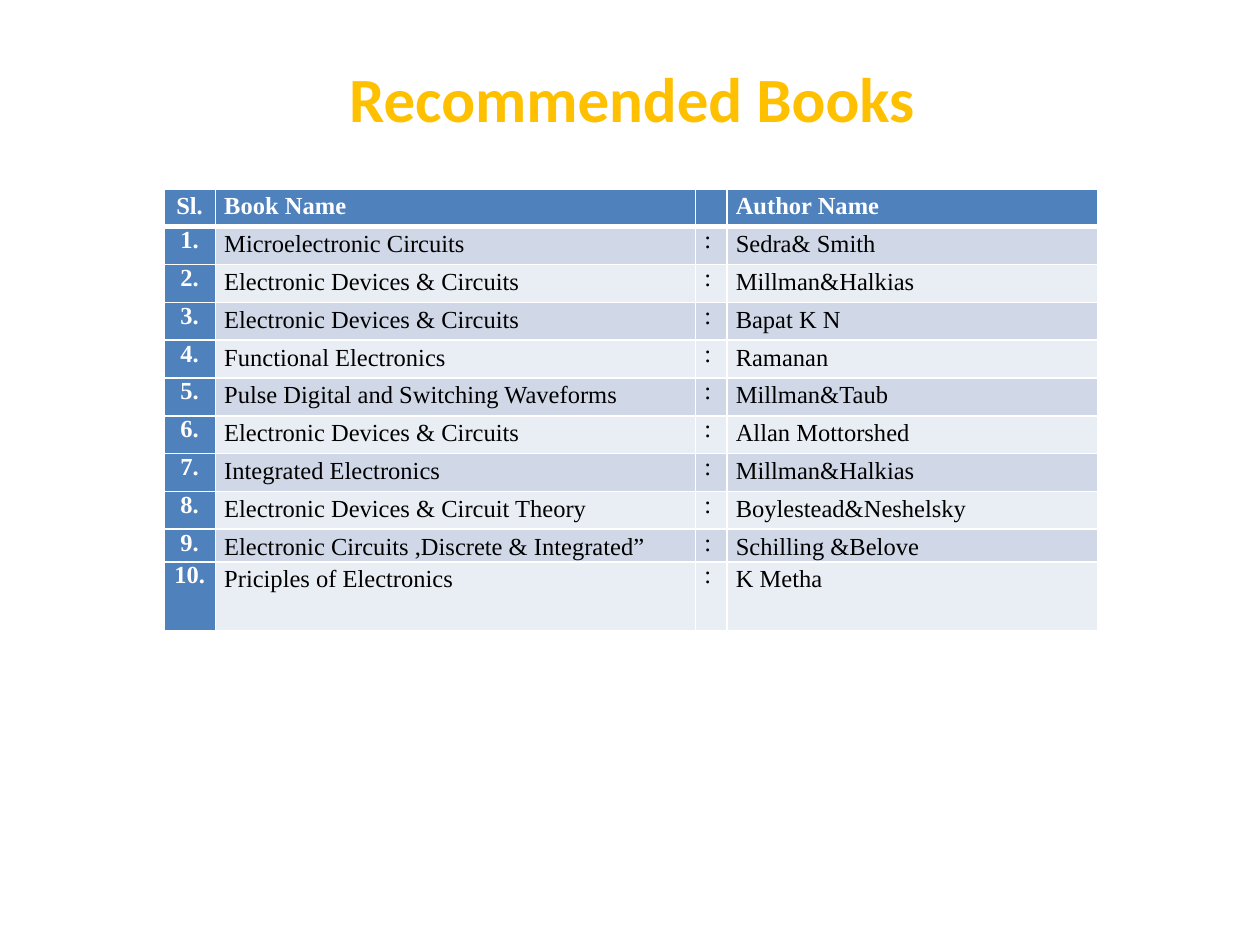
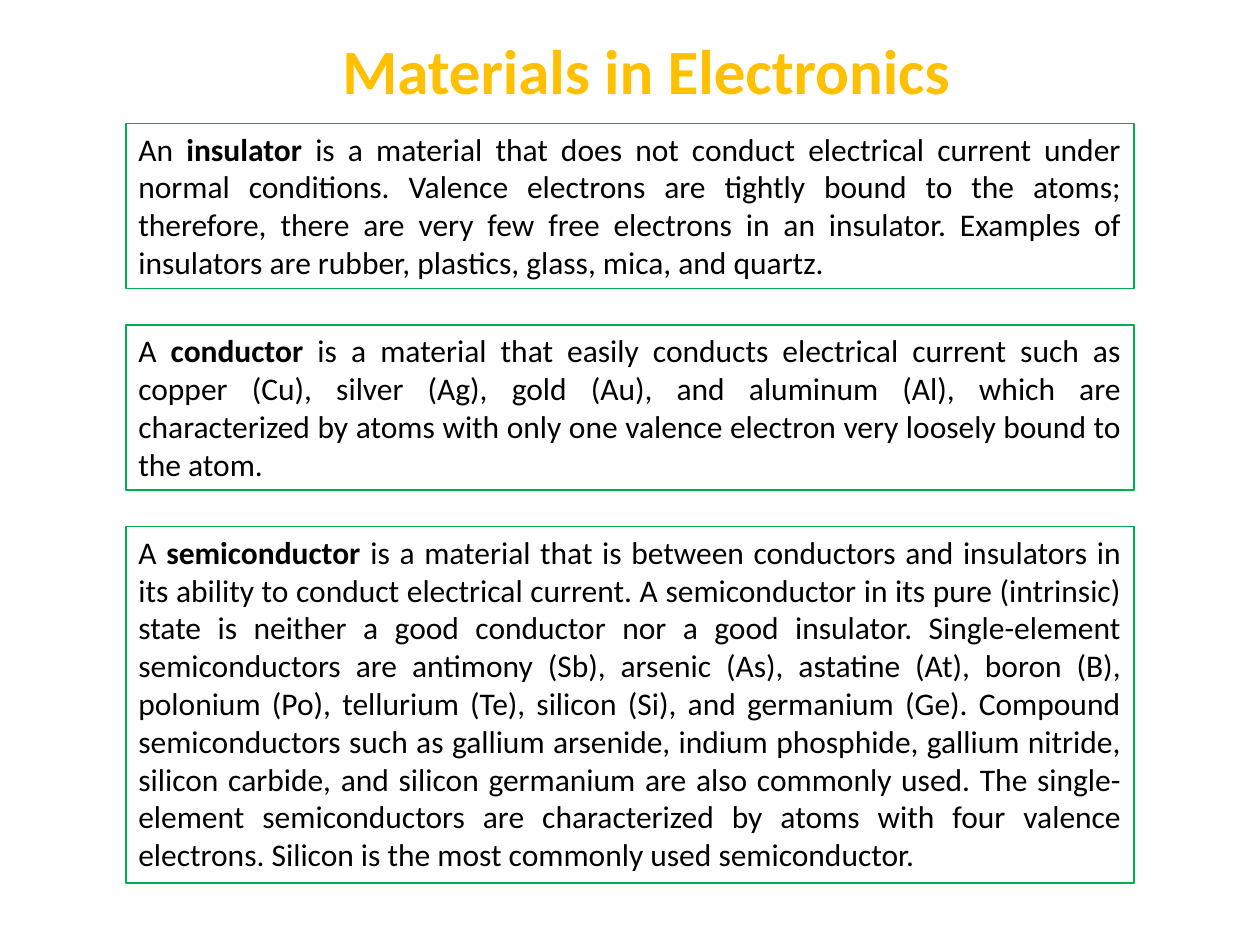
from lxml.etree import SubElement
from pptx import Presentation
from pptx.dml.color import RGBColor
from pptx.enum.shapes import MSO_SHAPE as Preset
from pptx.enum.text import MSO_ANCHOR as Anchor, MSO_AUTO_SIZE as AutoSize, PP_ALIGN as Align
from pptx.oxml.ns import qn
from pptx.util import Inches, Pt

COLOURS = {
    "title": "FFC000",
    "header": "4F81BD",
    "odd_band": "D0D8E8",
    "even_band": "E9EDF4",
    "outline": "00B050",
    "light": "FFFFFF",
    "text": "000000",
}

BOOKS = [
    ("Microelectronic Circuits", "Sedra& Smith"),
    ("Electronic Devices & Circuits", "Millman&Halkias"),
    ("Electronic Devices & Circuits", "Bapat K N"),
    ("Functional Electronics", "Ramanan"),
    ("Pulse Digital and Switching Waveforms", "Millman&Taub"),
    ("Electronic Devices & Circuits", "Allan Mottorshed"),
    ("Integrated Electronics", "Millman&Halkias"),
    ("Electronic Devices & Circuit Theory", "Boylestead&Neshelsky"),
    ("Electronic Circuits ,Discrete & Integrated”", "Schilling &Belove"),
    ("Priciples of Electronics", "K Metha"),
]

MATERIALS = [
    (1.31, "An ", "insulator",
     " is a material that does not conduct electrical current under normal conditions. "
     "Valence electrons are tightly bound to the atoms; therefore, there are very few free "
     "electrons in an insulator. Examples of insulators are rubber, plastics, glass, mica, "
     "and quartz."),
    (1.31, "A ", "conductor",
     " is a material that easily conducts electrical current such as copper (Cu), silver (Ag), "
     "gold (Au), and aluminum (Al), which are characterized by atoms with only one valence "
     "electron very loosely bound to the atom."),
    (2.83, "A ", "semiconductor",
     " is a material that is between conductors and insulators in its ability to conduct "
     "electrical current. A semiconductor in its pure (intrinsic) state is neither a good "
     "conductor nor a good insulator. Single-element semiconductors are antimony (Sb), arsenic "
     "(As), astatine (At), boron (B), polonium (Po), tellurium (Te), silicon (Si), and germanium "
     "(Ge). Compound semiconductors such as gallium arsenide, indium phosphide, gallium nitride, "
     "silicon carbide, and silicon germanium are also commonly used. The single-element "
     "semiconductors are characterized by atoms with four valence electrons. Silicon is the "
     "most commonly used semiconductor."),
]


def colour(name):
    return RGBColor.from_string(COLOURS[name])


class Deck:
    """Holds the shared style and the slide being built."""

    def __init__(self):
        self.presentation = Presentation()
        self.presentation.slide_width = Inches(10)
        self.presentation.slide_height = Inches(7.5)
        self.slide = None

    def style(self, run, size, ink="text", bold=False, face="Calibri"):
        run.font.name = face
        run.font.size = Pt(size)
        run.font.bold = bold
        run.font.color.rgb = colour(ink)

    def add_slide(self, heading, left, top, width, align):
        self.slide = self.presentation.slides.add_slide(self.presentation.slide_layouts[5])
        title = self.slide.shapes.title
        title.left, title.top = Inches(left), Inches(top)
        title.width, title.height = Inches(width), Inches(0.71)
        title.text_frame.text = heading
        title.text_frame.auto_size = AutoSize.NONE
        title.text_frame.vertical_anchor = Anchor.TOP
        line = title.text_frame.paragraphs[0]
        line.alignment = align
        self.style(line.runs[0], 36, "title", True)

    def add_definition(self, top, height, article, term, meaning):
        box = self.slide.shapes.add_shape(
            Preset.RECTANGLE, Inches(1), Inches(top), Inches(8), Inches(height))
        box.shadow.inherit = False
        box.fill.background()
        box.line.color.rgb = colour("outline")
        box.line.width = Pt(0.75)
        frame = box.text_frame
        frame.word_wrap = True
        frame.auto_size = AutoSize.SHAPE_TO_FIT_TEXT
        frame.vertical_anchor = Anchor.TOP
        definition = frame.paragraphs[0]
        definition.alignment = Align.JUSTIFY
        for words in (article, term, meaning):
            run = definition.add_run()
            run.text = words
            self.style(run, 18, bold=words == term)

    def add_border(self, cell, side, width):
        border = SubElement(cell._tc.get_or_add_tcPr(), qn(f"a:ln{side}"), w=str(Pt(width)))
        fill = SubElement(border, qn("a:solidFill"))
        SubElement(fill, qn("a:srgbClr"), val=COLOURS["light"])

    def fill_cell(self, cell, words, row, column):
        heading = row == 0 or column == 0
        cell.margin_left = cell.margin_right = Inches(0.07)
        cell.margin_top = cell.margin_bottom = 0
        for side in "LRTB":
            thick = (row, side) in ((0, "B"), (1, "T"))
            self.add_border(cell, side, 3 if thick else 1)
        band = "header" if heading else "odd_band" if row % 2 else "even_band"
        cell.fill.solid()
        cell.fill.fore_color.rgb = colour(band)
        cell.text_frame.text = words
        entry = cell.text_frame.paragraphs[0]
        entry.alignment = Align.CENTER if column == 0 else Align.LEFT
        if row == 0 or column in (1, 3):
            entry.line_spacing = 1.15
        for run in entry.runs:
            self.style(run, 14, "light" if heading else "text", heading, "Times New Roman")
        if not words:
            SubElement(entry._p, qn("a:endParaRPr"), sz="1400")

    def add_table(self, left, top, widths, heights, rows):
        table = self.slide.shapes.add_table(
            len(rows), len(widths), Inches(left), Inches(top),
            Inches(sum(widths)), Inches(sum(heights))).table
        for column, width in zip(table.columns, widths):
            column.width = Inches(width)
        for row, height in zip(table.rows, heights):
            row.height = Inches(height)
        for r, entries in enumerate(rows):
            for c, words in enumerate(entries):
                self.fill_cell(table.cell(r, c), words, r, c)


def main():
    deck = Deck()

    deck.add_slide("Recommended Books", 2.67, 0.42, 5.08, Align.LEFT)
    book_rows = [("Sl.", "Book Name", "", "Author Name")]
    book_rows += [(f"{number}.", book, ":", author)
                  for number, (book, author) in enumerate(BOOKS, 1)]
    deck.add_table(1.3, 1.5, [0.41, 3.81, 0.25, 2.94], [0.3] * 9 + [0.26, 0.55], book_rows)

    deck.add_slide("Materials in Electronics", 1.42, 0.2, 7.42, Align.CENTER)
    top, gap = 0.98, 0.29
    for height, article, term, meaning in MATERIALS:
        deck.add_definition(top, height, article, term, meaning)
        top += height + gap

    deck.presentation.save("out.pptx")


if __name__ == "__main__":
    main()
